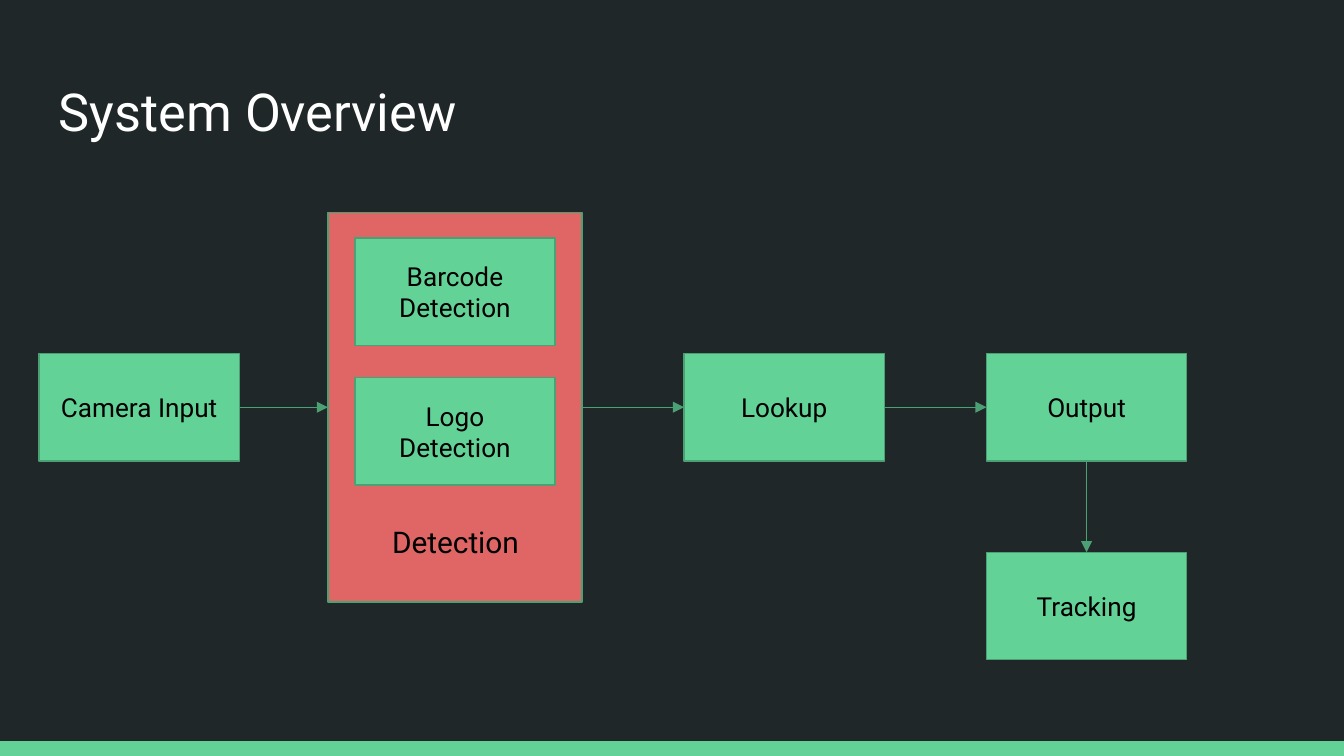
from lxml import etree
from pptx import Presentation
from pptx import util as u
from pptx.dml.color import RGBColor
from pptx.enum import shapes, text
from pptx.oxml.ns import qn

# Content
TITLE = "System Overview"
STAGES = ["Camera Input", "Detection", "Lookup", "Output"]
DETECTORS = ["Barcode Detection", "Logo Detection"]
FOLLOW_UP = "Tracking"

# Look
COLORS = {"background": "202729", "green": "63D297", "outline": "4BA173",
          "red": "E06666", "title": "FFFFFF", "label": "000000"}
FONT = "Roboto"

# Grid, in inches
SLIDE_W = 10
SLIDE_H = SLIDE_W * 9 / 16
BAR_H = 0.11
BOX_W, BOX_H = 1.49, 0.8
PANEL_W, PANEL_H = 1.89, 2.9
FLOW_LEFT, FLOW_Y = 0.29, 3.03
GAPS = [0.66, 0.76, 0.76]
ROW_PITCH = 1.48
DETECTOR_TOP, DETECTOR_PITCH = 0.19, 1.04

TOP, LEFT, BOTTOM, RIGHT = range(4)

prs = Presentation()
prs.slide_width, prs.slide_height = u.Inches(SLIDE_W), u.Inches(SLIDE_H)
slide = prs.slides.add_slide(prs.slide_layouts[6])


def color(name):
    return RGBColor.from_string(COLORS[name])


def write(shape, words, size, ink="label", align=text.PP_ALIGN.CENTER,
          anchor=text.MSO_ANCHOR.MIDDLE):
    frame = shape.text_frame
    frame.word_wrap = True
    frame.vertical_anchor = anchor
    frame.margin_left = frame.margin_right = u.Inches(0.1)
    frame.margin_top = frame.margin_bottom = u.Inches(0.1)
    paragraph = frame.paragraphs[0]
    paragraph.text = words
    paragraph.alignment = align
    paragraph.font.name = FONT
    paragraph.font.size = u.Pt(size)
    paragraph.font.color.rgb = color(ink)


def add_label(words, left, top, width, height, size, **style):
    label = slide.shapes.add_textbox(*map(u.Inches, (left, top, width, height)))
    write(label, words, size, anchor=text.MSO_ANCHOR.TOP, **style)


def add_rect(left, top, width, height, fill, outlined=True):
    rect = slide.shapes.add_shape(shapes.MSO_SHAPE.RECTANGLE,
                                  *map(u.Inches, (left, top, width, height)))
    rect.shadow.inherit = False
    rect.fill.solid()
    rect.fill.fore_color.rgb = color(fill)
    if outlined:
        rect.line.color.rgb = color("outline")
        rect.line.width = u.Pt(0.75)
    else:
        rect.line.fill.background()
    return rect


def add_step(words, left, top):
    step = add_rect(left, top, BOX_W, BOX_H, "green")
    write(step, words, 14)
    return step


def add_detection_panel(words, left):
    top = FLOW_Y - PANEL_H / 2
    panel = add_rect(left, top, PANEL_W, PANEL_H, "red")
    for row, detector in enumerate(DETECTORS):
        add_step(detector, left + (PANEL_W - BOX_W) / 2,
                 top + DETECTOR_TOP + row * DETECTOR_PITCH)
    add_label(words, left + 0.27, top + 2.22, 1.36, 0.39, 16)
    return panel


def add_arrow(source, source_side, target, target_side):
    arrow = slide.shapes.add_connector(shapes.MSO_CONNECTOR.STRAIGHT, 0, 0, 0, 0)
    arrow.begin_connect(source, source_side)
    arrow.end_connect(target, target_side)
    arrow.line.color.rgb = color("outline")
    arrow.line.width = u.Pt(0.75)
    line = arrow._element.spPr.find(qn("a:ln"))
    etree.SubElement(line, qn("a:tailEnd"), type="triangle")
    etree.SubElement(arrow._element.spPr, qn("a:effectLst"))


# Background, bottom bar and title
slide.background.fill.solid()
slide.background.fill.fore_color.rgb = color("background")
add_rect(0, SLIDE_H - BAR_H, SLIDE_W, BAR_H, "green", outlined=False)
add_label(TITLE, 0.34, 0.49, 9.32, 0.63, 28, ink="title",
          align=text.PP_ALIGN.LEFT)

# Main flow, left to right
flow = []
left = FLOW_LEFT
for stage, gap in zip(STAGES, GAPS + [0]):
    if stage == "Detection":
        flow.append(add_detection_panel(stage, left))
        left += PANEL_W + gap
    else:
        flow.append(add_step(stage, left, FLOW_Y - BOX_H / 2))
        left += BOX_W + gap

# Tracking sits one row below the last stage
output = flow[-1]
tracking = add_step(FOLLOW_UP, output.left.inches, output.top.inches + ROW_PITCH)

# Arrows
for source, target in zip(flow, flow[1:]):
    add_arrow(source, RIGHT, target, LEFT)
add_arrow(output, BOTTOM, tracking, TOP)

prs.save("out.pptx")
